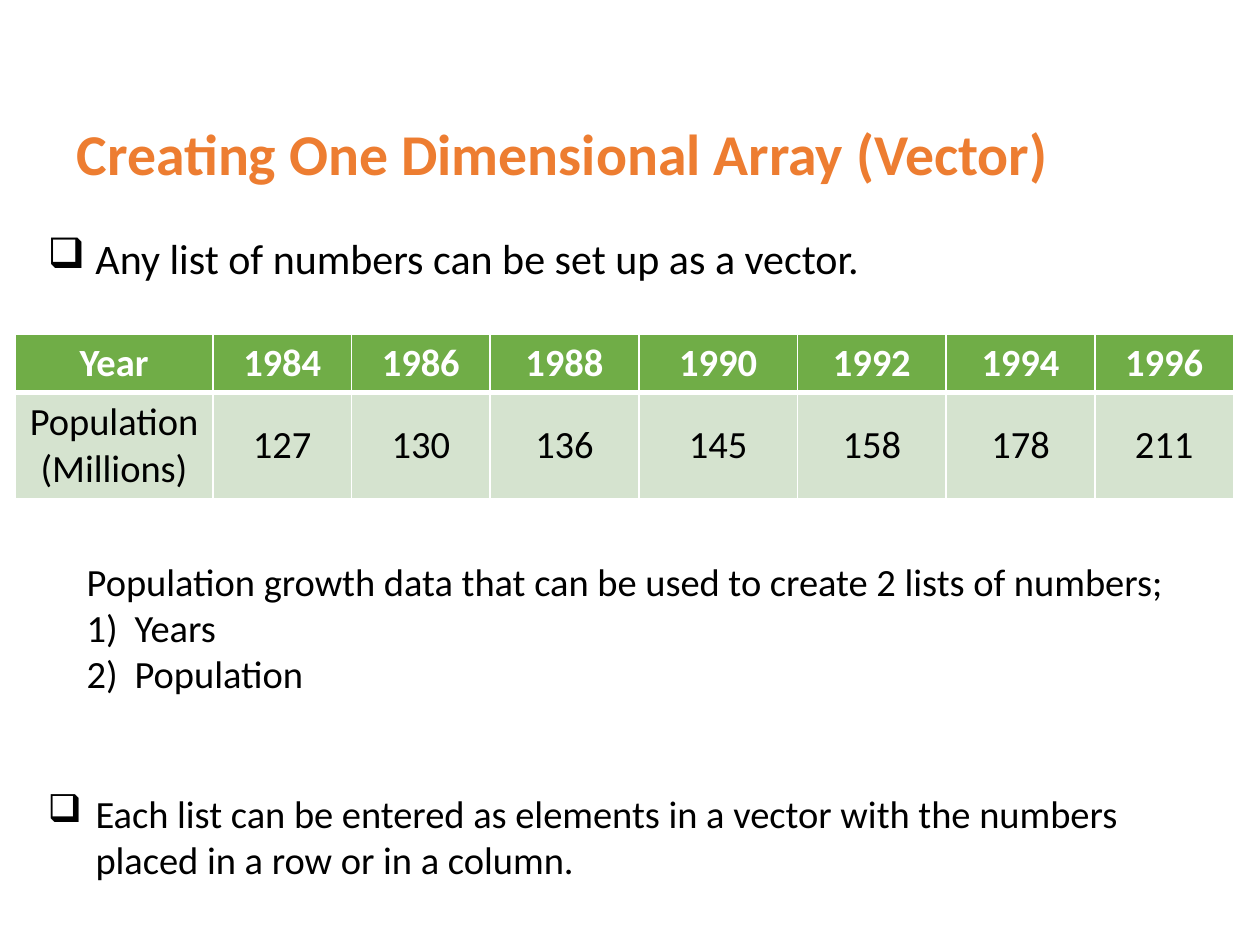
import dataclasses

import lxml.etree
import pptx
import pptx.dml.color
import pptx.enum.text
import pptx.oxml.ns
import pptx.util

Inches = pptx.util.Inches
Anchor = pptx.enum.text.MSO_ANCHOR
AutoSize = pptx.enum.text.MSO_AUTO_SIZE
Align = pptx.enum.text.PP_ALIGN


@dataclasses.dataclass(frozen=True)
class Theme:
    font: str = "Calibri"
    title: str = "ED7D31"
    text: str = "000000"
    white: str = "FFFFFF"
    header_fill: str = "70AD47"
    body_fill: str = "D5E3CF"
    title_size: int = 33
    lead_size: int = 24
    body_size: int = 22


theme = Theme()


def format_font(paragraph, size, color, bold=False):
    values = {"name": theme.font, "size": pptx.util.Pt(size), "bold": bold}
    for run in paragraph.runs:
        for name, value in values.items():
            setattr(run.font, name, value)
        run.font.color.rgb = pptx.dml.color.RGBColor.from_string(color)


def add_element(parent, tag, **attributes):
    return lxml.etree.SubElement(parent, pptx.oxml.ns.qn(tag), attributes)


presentation = pptx.Presentation()
presentation.slide_width = Inches(10)
presentation.slide_height = Inches(7.5)
slide = presentation.slides.add_slide(presentation.slide_layouts[5])

# Title
title = slide.shapes.title
title_box = {"left": 0.51, "top": 0.52, "width": 8.9, "height": 1.45}
for name, value in title_box.items():
    setattr(title, name, Inches(value))
title.text_frame.text = "Creating One Dimensional Array (Vector)"
title.text_frame.vertical_anchor = Anchor.MIDDLE
paragraph = title.text_frame.paragraphs[0]
paragraph.alignment = Align.LEFT
paragraph.line_spacing = 0.9
format_font(paragraph, theme.title_size, theme.title, bold=True)

# Text boxes: position, type size, wrapping, (bullet, text) paragraphs
box_bullet = ("a:buChar", {"char": "❑"})
number = ("a:buAutoNum", {"type": "arabicParenR"})
text_boxes = [
    ((0.28, 1.8, 6.84, 0.5), theme.lead_size, False,
     [(box_bullet, "Any list of numbers can be set up as a vector.")]),
    ((0.59, 4.38, 8.84, 1.21), theme.body_size, False,
     [(None, "Population growth data that can be used to create 2 lists of numbers;"),
      (number, "Years"),
      (number, "Population")]),
    ((0.28, 6.22, 8.85, 0.84), theme.body_size, True,
     [(box_bullet, "Each list can be entered as elements in a vector with the numbers "
                   "placed in a row or in a column.")]),
]
hanging_indent = Inches(0.38)
for position, size, wrap, lines in text_boxes:
    shape = slide.shapes.add_textbox(*map(Inches, position))
    frame = shape.text_frame
    frame.word_wrap = wrap
    frame.auto_size = AutoSize.SHAPE_TO_FIT_TEXT
    frame.text = "\n".join(text for _, text in lines)
    for paragraph, (bullet, _) in zip(frame.paragraphs, lines):
        if bullet:
            tag, attributes = bullet
            properties = paragraph._p.get_or_add_pPr()
            properties.set("marL", str(hanging_indent))
            properties.set("indent", str(-hanging_indent))
            add_element(properties, tag, **attributes)
        format_font(paragraph, size, theme.text)

# Population table
population = {1984: 127, 1986: 130, 1988: 136, 1990: 145, 1992: 158, 1994: 178, 1996: 211}
column_widths = [1.57, 1.1, 1.1, 1.18, 1.26, 1.18, 1.18, 1.1]
row_heights = [0.46, 0.84]
rows = [["Year", *population.keys()], ["Population\n(Millions)", *population.values()]]
row_styles = [
    {"fill": theme.header_fill, "color": theme.white, "bold": True, "anchor": Anchor.TOP,
     "borders": {"L": 1, "R": 1, "T": 1, "B": 3}},
    {"fill": theme.body_fill, "color": theme.text, "bold": False, "anchor": Anchor.MIDDLE,
     "borders": {"L": 1, "R": 1, "T": 3, "B": 1}},
]
table = slide.shapes.add_table(
    len(rows), len(column_widths), Inches(0.12), Inches(2.65),
    Inches(sum(column_widths)), Inches(sum(row_heights))).table
for column, width in zip(table.columns, column_widths):
    column.width = Inches(width)
for row, height, values, style in zip(table.rows, row_heights, rows, row_styles):
    row.height = Inches(height)
    for cell, value in zip(row.cells, values):
        cell.text = str(value)
        cell.vertical_anchor = style["anchor"]
        for paragraph in cell.text_frame.paragraphs:
            paragraph.alignment = Align.CENTER
            format_font(paragraph, theme.body_size, style["color"], style["bold"])
        properties = cell._tc.get_or_add_tcPr()
        for side, width in style["borders"].items():
            line = add_element(properties, f"a:ln{side}", w=str(pptx.util.Pt(width)))
            add_element(add_element(line, "a:solidFill"), "a:srgbClr", val=theme.white)
        cell.fill.solid()
        cell.fill.fore_color.rgb = pptx.dml.color.RGBColor.from_string(style["fill"])

presentation.save("out.pptx")
